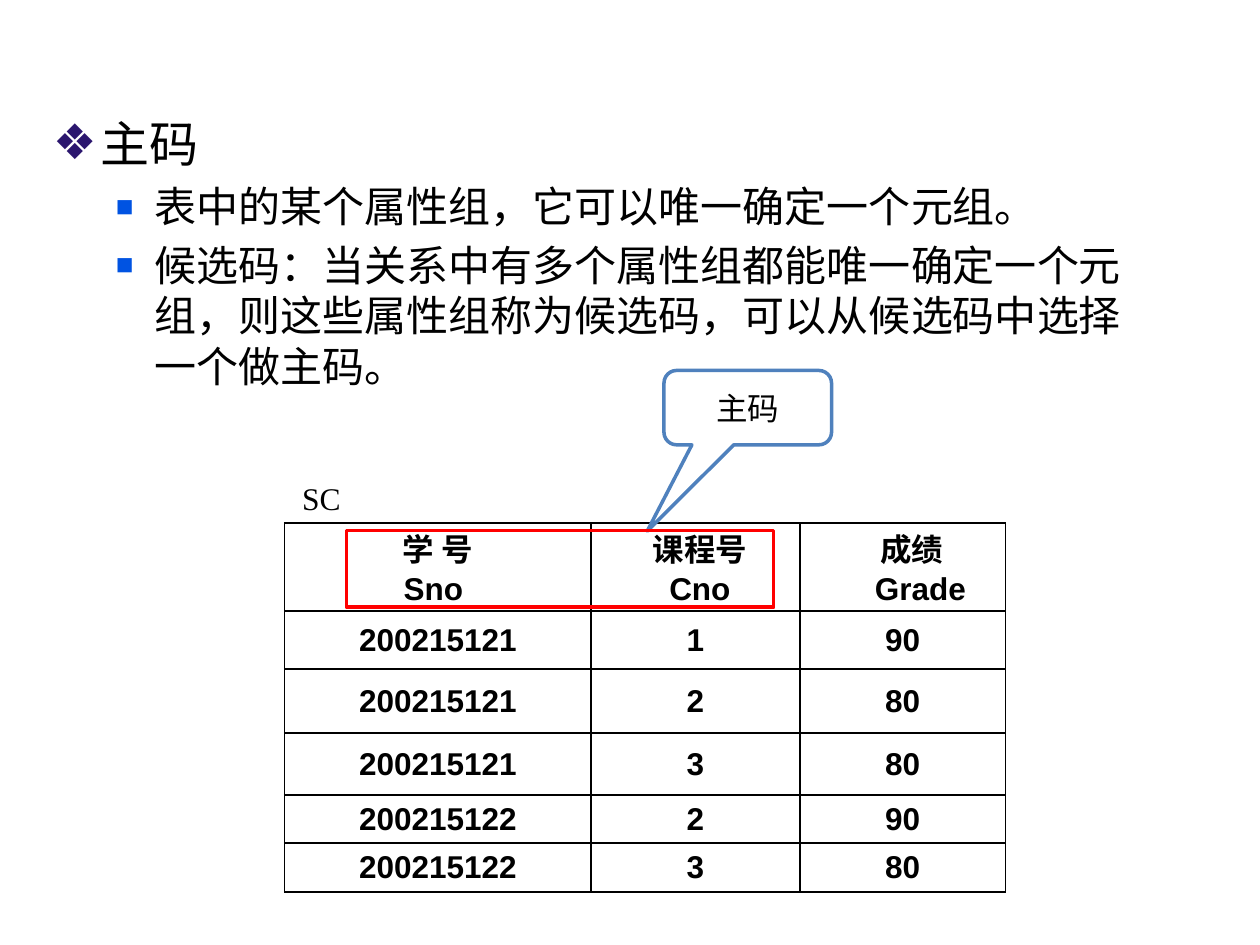
from lxml import etree
from pptx import Presentation
from pptx.dml.color import RGBColor
from pptx.enum import shapes, text
from pptx.oxml import ns
from pptx.util import Inches, Pt

COLORS = {
    "ink": "000000",
    "paper": "FFFFFF",
    "diamond": "2B166E",
    "square": "0053E2",
    "callout": "4F81BD",
    "key": "FF0000",
}
SERIF = "Times New Roman"
SANS = "Arial"
CHINESE = "Noto Sans CJK SC"

POINTS = [
    (0, "主码"),
    (1, "表中的某个属性组，它可以唯一确定一个元组。"),
    (1, "候选码：当关系中有多个属性组都能唯一确定一个元组，"
        "则这些属性组称为候选码，可以从候选码中选择一个做主码。"),
]
LEVELS = [
    {"size": 28, "left": 0.38, "hang": 0.38, "mark": "❖", "color": "diamond", "scale": 100},
    {"size": 24, "left": 0.81, "hang": 0.31, "mark": "■", "color": "square", "scale": 70},
]
ROWS = [
    ("学 号", "课程号", "成绩"),
    ("Sno", "Cno", "Grade"),
    ("200215121", "1", "90"),
    ("200215121", "2", "80"),
    ("200215121", "3", "80"),
    ("200215122", "2", "90"),
    ("200215122", "3", "80"),
]
COLUMN_WIDTHS = [2.43, 1.66, 1.63]
ROW_HEIGHTS = [0.38, 0.32, 0.46, 0.51, 0.49, 0.38, 0.39]
HEADER_SHIFTS = [(0, 0.07, 0.14), (-0.07, 0.07, 0.28)]


def color(name):
    return RGBColor.from_string(COLORS[name])


def inches(*lengths):
    return [Inches(length) for length in lengths]


def add_child(parent, tag, **attributes):
    child = etree.SubElement(parent, ns.qn(tag))
    for key, value in attributes.items():
        child.set(key, str(value))
    return child


def style_font(font, size, name, bold=False):
    font.size = Pt(size)
    font.name = name
    font.bold = bold
    font.color.rgb = color("ink")


def set_bullet(para, style):
    props = para._p.get_or_add_pPr()
    props.set("marL", str(Inches(style["left"])))
    props.set("indent", str(-Inches(style["hang"])))
    tint = add_child(props, "a:buClr")
    add_child(tint, "a:srgbClr", val=COLORS[style["color"]])
    add_child(props, "a:buSzPct", val=style["scale"] * 1000)
    add_child(props, "a:buFont", typeface=SANS)
    add_child(props, "a:buChar", char=style["mark"])


def fill_body(body):
    body.left, body.top, body.width, body.height = inches(0.32, 0.85, 9, 2.47)
    frame = body.text_frame
    frame.auto_size = text.MSO_AUTO_SIZE.NONE
    for number, (level, words) in enumerate(POINTS):
        para = frame.add_paragraph() if number else frame.paragraphs[0]
        style = LEVELS[level]
        para.text = words
        para.level = level
        set_bullet(para, style)
        style_font(para.font, style["size"], SERIF)


def set_borders(cell, hidden):
    props = cell._tc.get_or_add_tcPr()
    for side in "LRTB":
        line = add_child(props, f"a:ln{side}", w=Pt(1))
        if side == hidden:
            add_child(line, "a:noFill")
        else:
            paint = add_child(line, "a:solidFill")
            add_child(paint, "a:srgbClr", val=COLORS["ink"])


def fill_cell(cell, words, row, shift):
    cell.margin_left = Inches(0.01 + max(shift, 0))
    cell.margin_right = Inches(0.01 + max(-shift, 0))
    cell.margin_top, cell.margin_bottom = inches(0.01, 0)
    cell.vertical_anchor = text.MSO_ANCHOR.TOP if row == 1 else text.MSO_ANCHOR.MIDDLE
    set_borders(cell, {0: "B", 1: "T"}.get(row))
    cell.fill.background()
    para = cell.text_frame.paragraphs[0]
    para.alignment = text.PP_ALIGN.CENTER
    span = para.add_run()
    span.text = words
    style_font(span.font, 18, CHINESE if row == 0 else SANS, bold=True)
    if row == 0:
        add_child(span.font._element, "a:ea", typeface=CHINESE)


def add_grades_table(page):
    place = inches(2.26, 4.15, sum(COLUMN_WIDTHS), sum(ROW_HEIGHTS))
    table = page.shapes.add_table(len(ROWS), len(COLUMN_WIDTHS), *place).table
    table.first_row = False
    table.horz_banding = False
    for column, width in zip(table.columns, COLUMN_WIDTHS):
        column.width = Inches(width)
    for row, (words_in_row, height) in enumerate(zip(ROWS, ROW_HEIGHTS)):
        table.rows[row].height = Inches(height)
        shifts = HEADER_SHIFTS[row] if row < len(HEADER_SHIFTS) else (0, 0, 0)
        for column, (words, shift) in enumerate(zip(words_in_row, shifts)):
            fill_cell(table.cell(row, column), words, row, shift)


def add_table_name(page):
    box = page.shapes.add_textbox(*inches(2.3, 3.75, 0.51, 0.4))
    box.text_frame.word_wrap = False
    box.text_frame.auto_size = text.MSO_AUTO_SIZE.SHAPE_TO_FIT_TEXT
    para = box.text_frame.paragraphs[0]
    para.text = "SC"
    style_font(para.font, 18, SERIF)


def add_outlined(page, kind, place, line):
    shape = page.shapes.add_shape(kind, *inches(*place))
    shape.shadow.inherit = False
    shape.fill.background()
    shape.line.color.rgb = color(line)
    shape.line.width = Pt(2)
    return shape


def add_key_callout(page):
    callout = add_outlined(page, shapes.MSO_SHAPE.ROUNDED_RECTANGULAR_CALLOUT,
                           (5.27, 2.94, 1.33, 0.59), "callout")
    callout.fill.solid()
    callout.fill.fore_color.rgb = color("paper")
    for index, value in enumerate([-0.6, 1.66, 0.17]):
        callout.adjustments[index] = value
    callout.text_frame.vertical_anchor = text.MSO_ANCHOR.MIDDLE
    para = callout.text_frame.paragraphs[0]
    para.text = "主码"
    para.alignment = text.PP_ALIGN.CENTER
    style_font(para.font, 18, "Calibri")


def main():
    deck = Presentation()
    deck.slide_width, deck.slide_height = inches(10, 7.5)
    page = deck.slides.add_slide(deck.slide_layouts[1])
    title = page.shapes.title._element
    title.getparent().remove(title)
    fill_body(page.placeholders[1])
    add_grades_table(page)
    add_table_name(page)
    add_key_callout(page)
    add_outlined(page, shapes.MSO_SHAPE.RECTANGLE, (2.75, 4.21, 3.39, 0.61), "key")
    deck.save("out.pptx")


if __name__ == "__main__":
    main()
